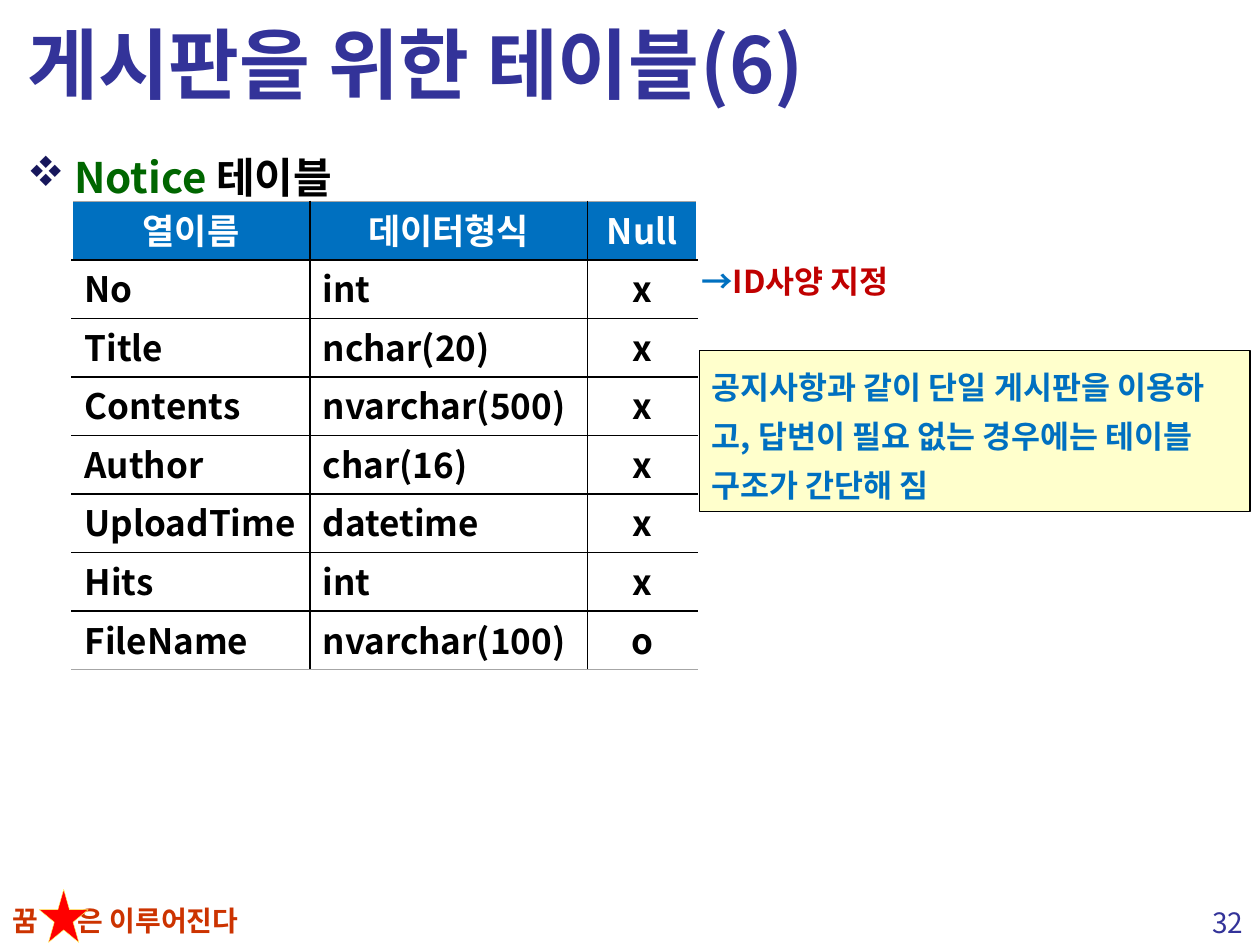
from dataclasses import dataclass
from lxml.etree import SubElement
from pptx import Presentation
from pptx.dml.color import RGBColor
from pptx.enum.shapes import MSO_SHAPE
from pptx.enum.text import MSO_ANCHOR, PP_ALIGN
from pptx.oxml.ns import qn
from pptx.util import Cm, Pt


@dataclass
class Theme:
    font: str = "Noto Sans CJK KR"
    title: int = 44
    head: int = 24
    cell: int = 20
    note: int = 18
    foot: int = 16
    navy: str = "333399"
    bullet: str = "17175C"
    green: str = "006600"
    blue: str = "0070C0"
    red: str = "C00000"
    rust: str = "CC3300"
    star: str = "FF0000"
    edge: str = "FFFF66"
    cream: str = "FFFFCC"
    black: str = "000000"
    white: str = "FFFFFF"
    gray: str = "A6A6A6"


T = Theme()

# Content
TITLE = "게시판을 위한 테이블(6)"
HEAD = [("Notice ", T.green), ("테이블", T.black)]
ROWS = [
    ("열이름", "데이터형식", "Null"),
    ("No", "int", "x"),
    ("Title", "nchar(20)", "x"),
    ("Contents", "nvarchar(500)", "x"),
    ("Author", "char(16)", "x"),
    ("UploadTime", "datetime", "x"),
    ("Hits", "int", "x"),
    ("FileName", "nvarchar(100)", "o"),
]
WIDTHS = (4.8, 5.59, 2.21)
HINT = [("→", T.blue), ("ID사양 지정", T.red)]
NOTE = "공지사항과 같이 단일 게시판을 이용하고, 답변이 필요 없는 경우에는 테이블 구조가 간단해 짐"
MOTTO = "꿈\t은 이루어진다"
PAGE = "32"


def rgb(hue):
    return RGBColor.from_string(hue)


def place(box):
    return [Cm(n) for n in box]


def style(run, size, hue, bold=True):
    font = run.font
    font.name, font.size, font.bold = T.font, Pt(size), bold
    font.color.rgb = rgb(hue)
    props = run._r.get_or_add_rPr()
    props.set("kern", "0")  # no pair kerning, so spaces keep their full width
    SubElement(props, qn("a:ea")).set("typeface", T.font)


def write(frame, parts, size, bold=True, align=None, space=None):
    para = frame.paragraphs[0]
    para.alignment, para.line_spacing = align, space
    for text, hue in parts:
        run = para.add_run()
        run.text = text
        style(run, size, hue, bold)
    return para


def label(slide, box, parts, size, wrap=True, **look):
    frame = slide.shapes.add_textbox(*place(box)).text_frame
    frame.word_wrap = wrap
    return frame, write(frame, parts, size, **look)


def shape(slide, kind, box, fill, line, width):
    item = slide.shapes.add_shape(kind, *place(box))
    item.shadow.inherit = False
    item.fill.solid()
    item.fill.fore_color.rgb = rgb(fill)
    item.line.color.rgb = rgb(line)
    item.line.width = Pt(width)
    return item


def border(cell, hues):
    props = cell._tc.get_or_add_tcPr()
    for spot, (tag, hue) in enumerate(zip(("lnL", "lnR", "lnT", "lnB"), hues)):
        line = SubElement(props, qn(f"a:{tag}"), w=str(Pt(1)))
        fill = SubElement(line, qn("a:solidFill"))
        SubElement(fill, qn("a:srgbClr"), val=hue)
        props.remove(line)
        props.insert(spot, line)


def grid(slide, left, top, high):
    last, end = len(ROWS) - 1, len(WIDTHS) - 1
    box = (left, top, sum(WIDTHS), high * len(ROWS))
    table = slide.shapes.add_table(len(ROWS), len(WIDTHS), *place(box)).table
    for col, width in zip(table.columns, WIDTHS):
        col.width = Cm(width)
    for r, row in enumerate(ROWS):
        table.rows[r].height = Cm(high)
        for c, text in enumerate(row):
            cell = table.cell(r, c)
            cell.fill.solid()
            cell.fill.fore_color.rgb = rgb(T.white if r else T.blue)
            border(cell, (
                T.black if c else T.white,
                T.black if c < end else T.white,
                T.black if r else T.gray,
                T.black if r < last else T.gray,
            ))
            mid = r == 0 or c == end
            write(cell.text_frame, [(text, T.black if r else T.white)], T.cell,
                  align=PP_ALIGN.CENTER if mid else PP_ALIGN.LEFT, space=0.9)


def main():
    deck = Presentation()
    deck.slide_width, deck.slide_height = Cm(25.4), Cm(19.05)
    slide = deck.slides.add_slide(deck.slide_layouts[6])

    # Footer
    _, para = label(slide, (0, 18.08, 6.3, 0.94), [(MOTTO, T.rust)], T.foot)
    tabs = SubElement(para._p.get_or_add_pPr(), qn("a:tabLst"))
    SubElement(tabs, qn("a:tab"), pos=str(Cm(1.32)), algn="l")
    shape(slide, MSO_SHAPE.STAR_5_POINT, (0.79, 17.93, 0.99, 1.07),
          T.star, T.edge, 0.25)
    label(slide, (24.1, 18.14, 1.3, 0.94), [(PAGE, T.navy)], T.foot,
          wrap=False, bold=False, align=PP_ALIGN.CENTER)

    # Title
    frame, _ = label(slide, (0.3, 0.15, 24.79, 2.24), [(TITLE, T.navy)], T.title)
    frame.vertical_anchor = MSO_ANCHOR.MIDDLE

    # Heading with its bullet
    _, para = label(slide, (0.3, 2.72, 24.87, 15.34), HEAD, T.head, space=1.2)
    props = para._p.get_or_add_pPr()
    props.set("marL", str(Cm(0.95)))
    props.set("indent", str(-Cm(0.95)))
    hue = SubElement(props, qn("a:buClr"))
    SubElement(hue, qn("a:srgbClr"), val=T.bullet)
    SubElement(props, qn("a:buFont"), typeface="Wingdings", charset="2")
    SubElement(props, qn("a:buChar"), char="v")

    # Table of columns
    grid(slide, 1.45, 4.06, 1.18)

    # Remarks beside the table
    note = shape(slide, MSO_SHAPE.RECTANGLE, (14.1, 7.06, 11.1, 3.25),
                 T.cream, T.black, 0.75)
    note.text_frame.word_wrap = True
    note.text_frame.vertical_anchor = MSO_ANCHOR.TOP
    para = write(note.text_frame, [(NOTE, T.blue)], T.note,
                 align=PP_ALIGN.LEFT, space=1.3)
    para._p.get_or_add_pPr().set("hangingPunct", "0")
    label(slide, (13.89, 4.93, 4.6, 1.14), HINT, T.note, wrap=False, space=1.3)

    deck.save("out.pptx")


if __name__ == "__main__":
    main()
